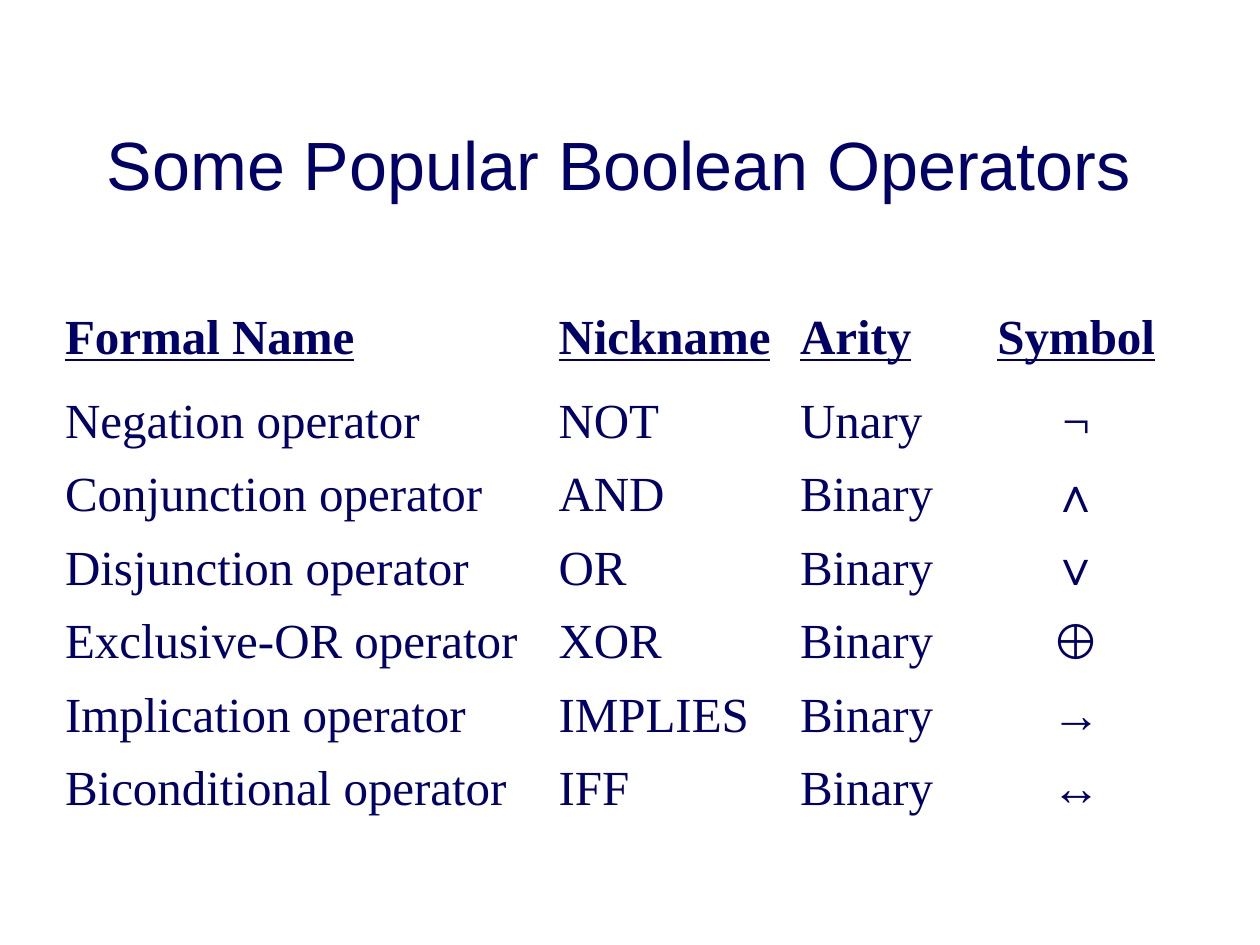
from lxml.etree import Element, SubElement
from pptx import Presentation
from pptx.dml.color import RGBColor
from pptx.enum.text import MSO_ANCHOR, PP_ALIGN
from pptx.oxml.ns import qn
from pptx.util import Inches, Pt

NAVY = "000066"
WHITE = "FFFFFF"
SANS = "Arial"
SERIF = "Times New Roman"
COLUMNS = (47, 23, 16, 23)
ROWS = (8,) + (7,) * 6
HEADINGS = ("Formal Name", "Nickname", "Arity", "Symbol")
OPERATORS = (
    ("Negation operator", "NOT", "Unary", "¬"),
    ("Conjunction operator", "AND", "Binary", "∧"),
    ("Disjunction operator", "OR", "Binary", "∨"),
    ("Exclusive-OR operator", "XOR", "Binary", "⊕"),
    ("Implication operator", "IMPLIES", "Binary", "→"),
    ("Biconditional operator", "IFF", "Binary", "↔"),
)
SANS_SYMBOLS = "∧∨⊕→"


def grid(n):
    return Inches(n / 12)


def color(value):
    return RGBColor.from_string(value)


def write(tf, text, size=28, font=SERIF, fill=NAVY, bold=False,
          underline=False, align=PP_ALIGN.LEFT, before=0):
    p = tf.paragraphs[0]
    p.alignment = align
    p.space_before = Pt(before)
    r = p.add_run()
    r.text = text
    r.font.size = Pt(size)
    r.font.name = font
    r.font.bold = bold
    r.font.underline = underline
    r.font.color.rgb = color(fill)


def add_borders(cell, outer):
    tc_pr = cell._tc.get_or_add_tcPr()
    for i, (side, is_outer) in enumerate(zip("LRTB", outer)):
        width = Pt(1.08 if is_outer else 0.45)
        ln = Element(qn(f"a:ln{side}"), w=str(width))
        fill = SubElement(ln, qn("a:solidFill"))
        SubElement(fill, qn("a:srgbClr"), val=WHITE)
        tc_pr.insert(i, ln)


def add_title(s, box, text):
    tf = s.shapes.add_textbox(*map(grid, box)).text_frame
    tf.word_wrap = True
    tf.vertical_anchor = MSO_ANCHOR.MIDDLE
    write(tf, text, size=39, font=SANS)


def add_operator_table(s, box, records):
    last_row, last_col = len(ROWS) - 1, len(COLUMNS) - 1
    table = s.shapes.add_table(len(ROWS), len(COLUMNS), *map(grid, box)).table
    table.first_row = table.horz_banding = False
    for column, units in zip(table.columns, COLUMNS):
        column.width = grid(units)
    for row, units in zip(table.rows, ROWS):
        row.height = grid(units)
    for i, record in enumerate(records):
        for j, text in enumerate(record):
            cell = table.cell(i, j)
            cell.fill.solid()
            cell.fill.fore_color.rgb = color(WHITE)
            add_borders(cell, (j == 0, j == last_col, i == 0, i == last_row))
            write(cell.text_frame, text, before=7,
                  font=SANS if text in SANS_SYMBOLS else SERIF,
                  bold=i == 0, underline=i == 0,
                  align=PP_ALIGN.CENTER if j == last_col else PP_ALIGN.LEFT)


def main():
    prs = Presentation()
    prs.slide_width, prs.slide_height = grid(120), grid(90)
    s = prs.slides.add_slide(prs.slide_layouts[6])
    add_title(s, (9, 8, 102, 15), "Some Popular Boolean Operators")
    add_operator_table(s, (5, 29, sum(COLUMNS), sum(ROWS)),
                       (HEADINGS,) + OPERATORS)
    prs.save("out.pptx")


if __name__ == "__main__":
    main()
